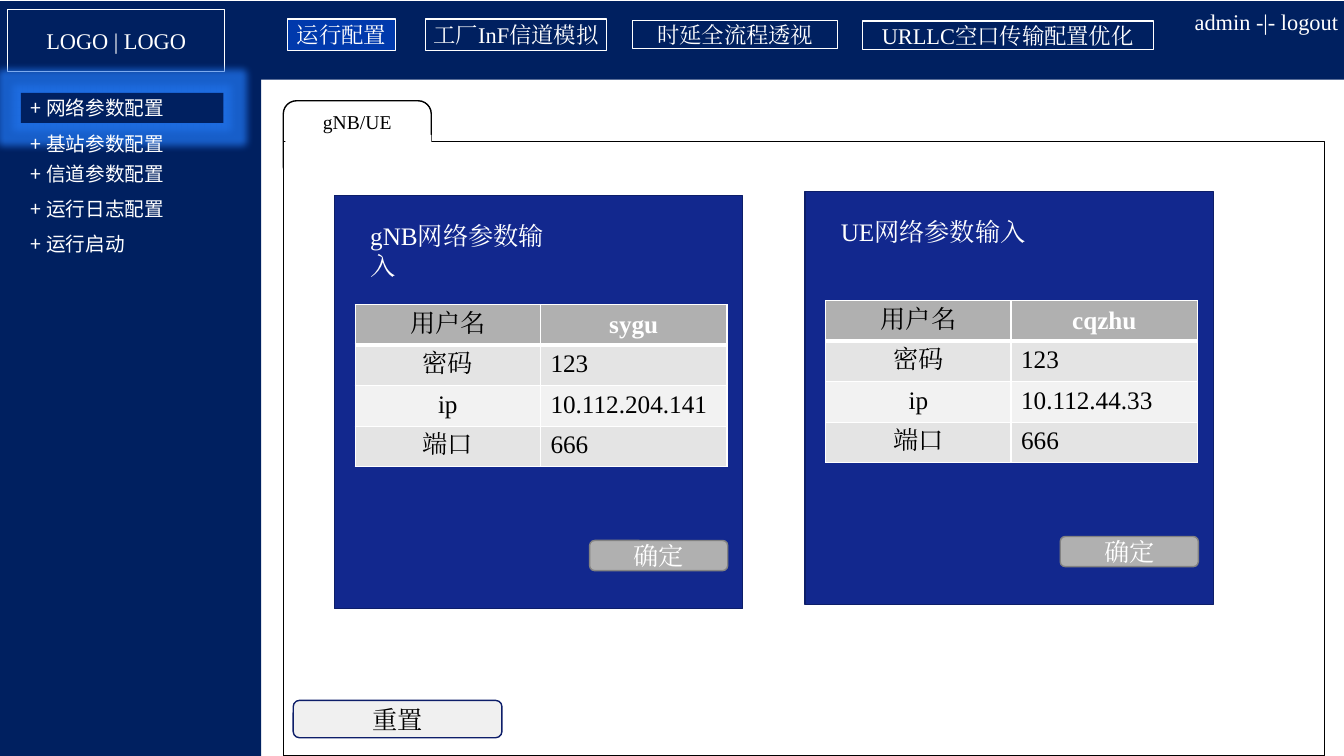
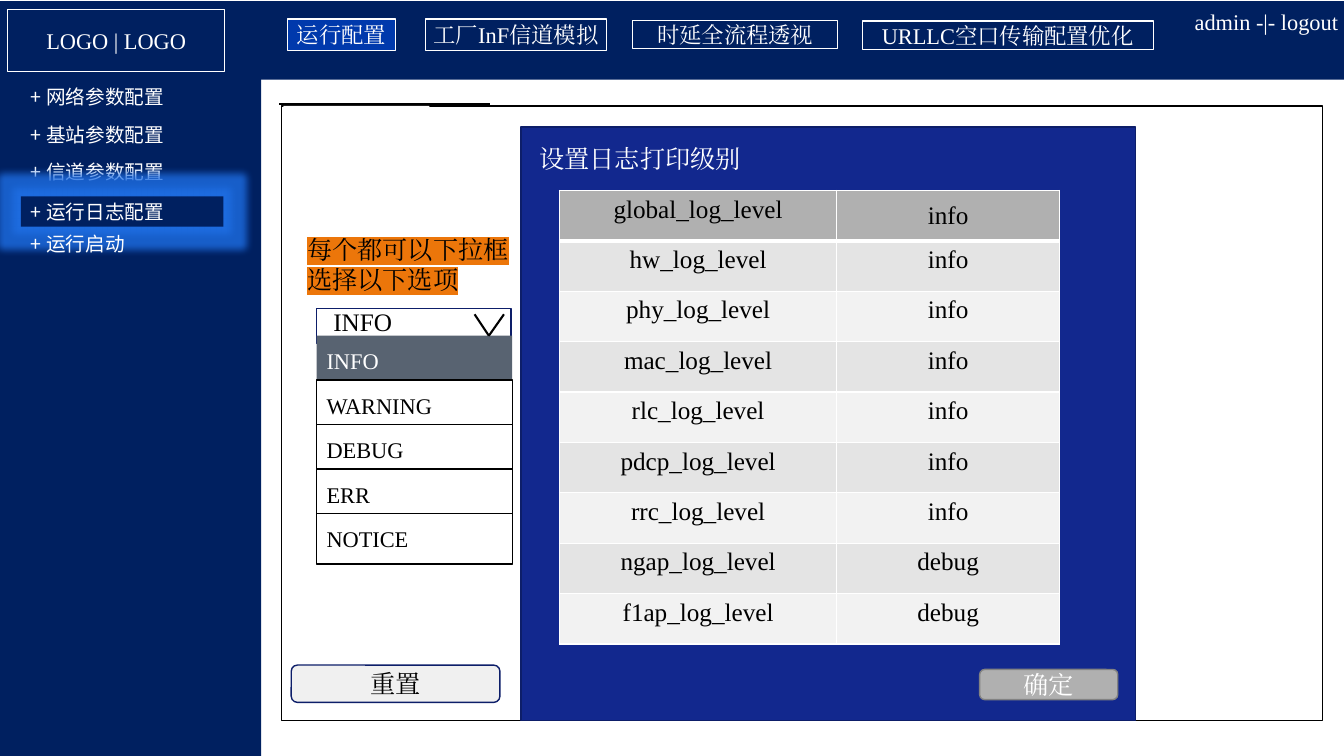
from pptx import Presentation
from pptx.dml.color import RGBColor
from pptx.enum.shapes import MSO_CONNECTOR, MSO_SHAPE
from pptx.enum.text import MSO_ANCHOR, PP_ALIGN
from pptx.oxml import parse_xml
from pptx.oxml.ns import nsdecls, qn
from pptx.util import Cm, Pt

RECT, ROUND = MSO_SHAPE.RECTANGLE, MSO_SHAPE.ROUNDED_RECTANGLE
STRAIGHT = MSO_CONNECTOR.STRAIGHT
TOP, MIDDLE = MSO_ANCHOR.TOP, MSO_ANCHOR.MIDDLE
LEFT, CENTER = PP_ALIGN.LEFT, PP_ALIGN.CENTER

WHITE = RGBColor(0xFF, 0xFF, 0xFF)
BLACK = RGBColor(0x00, 0x00, 0x00)
NAVY = RGBColor(0x00, 0x20, 0x60)
ACTIVE = RGBColor(0x00, 0x39, 0xAC)
PANEL = RGBColor(0x12, 0x28, 0x8E)
PANEL_EDGE = RGBColor(0x0D, 0x1E, 0x69)
GRAY = RGBColor(0xB0, 0xB0, 0xB0)
GRAY_EDGE = RGBColor(0x82, 0x82, 0x82)
LIGHT = RGBColor(0xF0, 0xF0, 0xF0)
SLATE = RGBColor(0x58, 0x63, 0x71)
BAND_DARK = RGBColor(0xE4, 0xE4, 0xE4)
BAND_LIGHT = RGBColor(0xF2, 0xF2, 0xF2)
ORANGE = RGBColor(0xEC, 0x76, 0x0A)
GLOW = RGBColor(0x1F, 0x6F, 0xE5)

SERIF = "Times New Roman"
SANS = "Noto Sans CJK SC"


def write(frame, text, size=18, color=BLACK, align=LEFT, font=SERIF,
          bold=False, highlight=None):
    """Fill a text frame, one paragraph for each line of text."""
    for index, line in enumerate(text.split("\n")):
        para = frame.add_paragraph() if index else frame.paragraphs[0]
        para.alignment = align
        span = para.add_run()
        span.text = line
        span.font.size = Pt(size)
        span.font.bold = bold
        span.font.color.rgb = color
        span.font.name = font
        props = span.font._element
        props.find(qn("a:latin")).addnext(parse_xml(
            f'<a:ea {nsdecls("a")} typeface="{font}"/>'))
        if highlight:
            props.find(qn("a:solidFill")).addnext(parse_xml(
                f'<a:highlight {nsdecls("a")}><a:srgbClr val="{highlight}"/></a:highlight>'))


def add_box(page, place, fill=None, line=None, weight=1, kind=RECT,
            text="", anchor=MIDDLE, inset=True, **style):
    """Add a shape, or a text box if it has neither fill nor line; place is in cm."""
    lengths = [Cm(value) for value in place]
    if fill or line:
        box = page.shapes.add_shape(kind, *lengths)
        box.shadow.inherit = False
        if fill:
            box.fill.solid()
            box.fill.fore_color.rgb = fill
        else:
            box.fill.background()
        if line:
            box.line.color.rgb = line
            box.line.width = Pt(weight)
        else:
            box.line.fill.background()
    else:
        box = page.shapes.add_textbox(*lengths)
    if text:
        frame = box.text_frame
        frame.word_wrap = True
        frame.vertical_anchor = anchor
        if not inset:
            frame.margin_left = frame.margin_right = 0
            frame.margin_top = frame.margin_bottom = 0
        write(frame, text, **style)
    return box


deck = Presentation()
deck.slide_width, deck.slide_height = Cm(33.87), Cm(19.05)
network_page, log_page = [deck.slides.add_slide(deck.slide_layouts[6]) for _ in range(2)]

# The tab stands behind the frame
add_box(network_page, (7.14, 2.54, 3.73, 1.98), WHITE, BLACK, kind=ROUND,
        text="gNB/UE", anchor=TOP, size=14, align=CENTER)

# Frame, navigation and reset button on every page
nav_tabs = [
    ("运行配置", (7.24, 0.48, 2.74, 0.79), ACTIVE),
    ("工厂InF信道模拟", (10.72, 0.48, 4.57, 0.79), NAVY),
    ("时延全流程透视", (15.95, 0.51, 5.16, 0.71), NAVY),
    ("URLLC空口传输配置优化", (21.74, 0.53, 7.32, 0.71), NAVY),
]
menu = ["网络参数配置", "基站参数配置", "信道参数配置", "运行日志配置", "运行启动"]
layouts = [
    (network_page, (7.14, 3.56), 17.65, 0, [2.72, 3.61, 4.38, 5.27, 6.13]),
    (log_page, (7.09, 2.67), 16.76, 3, [2.44, 3.39, 4.33, 5.33, 6.13]),
]
for page, (frame_left, frame_top), reset_top, selected, centers in layouts:
    add_box(page, (frame_left, frame_top, 26.24, 15.49), WHITE, BLACK)
    add_box(page, (0, 1.19, 6.58, 17.86), NAVY)
    add_box(page, (0, 0.03, 33.87, 1.98), NAVY)
    add_box(page, (0.2, 0.23, 5.46, 1.57), line=WHITE, weight=0.75,
            text="LOGO | LOGO", size=16, color=WHITE, align=CENTER)
    for label, place, fill in nav_tabs:
        add_box(page, place, fill, WHITE, 0.75, text=label, inset=False,
                size=16, color=WHITE, align=CENTER)
    add_box(page, (29.97, 0.18, 3.89, 0.71), text="admin -|- logout", inset=False,
            size=16, color=WHITE, align=CENTER)
    for index, (label, center) in enumerate(zip(menu, centers)):
        height = 0.76 if index == selected else 0.89
        item = add_box(page, (0.53, center - height / 2, 5.1, height),
                       NAVY if index == selected else None,
                       text="+ " + label, size=14, color=WHITE, font=SANS)
        if index == selected:
            item._element.spPr.find(qn("a:effectLst")).append(parse_xml(
                f'<a:glow {nsdecls("a")} rad="139700"><a:srgbClr val="{GLOW}">'
                '<a:alpha val="80000"/></a:srgbClr></a:glow>'))
    add_box(page, (frame_left + 0.25, reset_top, 5.26, 0.94), LIGHT, PANEL_EDGE,
            kind=ROUND, text="重置", align=CENTER)

# White strips open the frame's top edge
add_box(network_page, (7.19, 3.4, 3.68, 0.28), WHITE)
add_box(log_page, (7.14, 2.67, 3.68, 0.28), WHITE)

# Panels: title, table and confirm button, placed from the panel's corner
log_levels = ["global", "hw", "phy", "mac", "rlc", "pdcp", "rrc", "ngap", "f1ap"]
log_rows = [(f"{name}_log_level", "debug" if name in ("ngap", "f1ap") else "info")
            for name in log_levels]
log_panel = dict(size=(15.49, 14.96), title_at=(0.21, 0.28), title_width=5.8,
                 table_at=(0.97, 1.6), columns=(6.99, 5.61), row_height=1.27,
                 button_at=(11.56, 13.67), values=CENTER, head_color=BLACK)
network_panel = dict(size=(10.29, 10.41), title_at=(0.65, 0.49), title_width=5.4,
                     table_at=(0.52, 2.75), columns=(4.67, 4.7), row_height=1.02,
                     button_at=(6.43, 8.69), values=LEFT, head_color=WHITE)
panels = [
    (network_page, 8.43, 4.93, "gNB网络参数输入", network_panel,
     [("用户名", "sygu"), ("密码", "123"), ("ip", "10.112.204.141"), ("端口", "666")]),
    (network_page, 20.29, 4.83, "UE网络参数输入", network_panel,
     [("用户名", "cqzhu"), ("密码", "123"), ("ip", "10.112.44.33"), ("端口", "666")]),
    (log_page, 13.13, 3.2, "设置日志打印级别", log_panel, log_rows),
]
for page, left, top, title, form, rows in panels:
    add_box(page, (left, top, *form["size"]), PANEL, PANEL_EDGE)
    across, down = form["title_at"]
    add_box(page, (left + across, top + down, form["title_width"], 1.02),
            text=title, anchor=TOP, color=WHITE)
    across, down = form["button_at"]
    add_box(page, (left + across, top + down, 3.48, 0.76), GRAY, GRAY_EDGE,
            kind=ROUND, text="确定", color=WHITE, align=CENTER)

    across, down = form["table_at"]
    table = page.shapes.add_table(
        len(rows), 2, Cm(left + across), Cm(top + down), Cm(sum(form["columns"])),
        Cm(form["row_height"] * len(rows))).table
    for column, width in zip(table.columns, form["columns"]):
        column.width = Cm(width)
    for row_index, row in enumerate(rows):
        table.rows[row_index].height = Cm(form["row_height"])
        head = row_index == 0
        for column_index, text in enumerate(row):
            cell = table.cell(row_index, column_index)
            value = column_index == 1
            props = cell._tc.get_or_add_tcPr()
            for side in "LRTB":
                thick = (head and side == "B") or (row_index == 1 and side == "T")
                props.append(parse_xml(
                    f'<a:ln{side} {nsdecls("a")} w="{Pt(3 if thick else 1)}"><a:solidFill>'
                    f'<a:srgbClr val="{WHITE}"/></a:solidFill></a:ln{side}>'))
            cell.fill.solid()
            cell.fill.fore_color.rgb = GRAY if head else (BAND_LIGHT, BAND_DARK)[row_index % 2]
            cell.vertical_anchor = MIDDLE if head and value else TOP
            color = form["head_color"] if head and value else BLACK
            write(cell.text_frame, text, color=color, bold=color == WHITE,
                  align=form["values"] if value and not head else CENTER)

# Drop-down list of log levels
add_box(log_page, (7.98, 7.77, 4.9, 0.89), line=PANEL_EDGE)
add_box(log_page, (8.15, 7.59, 2.64, 1.02), text="INFO", anchor=TOP)
for index, option in enumerate(["INFO", "WARNING", "DEBUG", "ERR", "NOTICE"]):
    chosen = index == 0
    add_box(log_page, (7.98, 8.46 + 1.12 * index, 4.93, 1.27),
            SLATE if chosen else WHITE, None if chosen else BLACK,
            text=option, size=16, color=WHITE if chosen else BLACK)
add_box(log_page, (7.49, 5.77, 5.8, 1.8), text="每个都可以下拉框\n选择以下选项",
        anchor=TOP, highlight=ORANGE)

# Line above the frame and the two strokes of the drop-down arrow
for ends, weight in [((7.04, 2.62, 12.34, 2.62), 1),
                     ((11.96, 7.92, 12.32, 8.46), 1.5),
                     ((12.32, 8.46, 12.7, 7.92), 1.5)]:
    stroke = log_page.shapes.add_connector(STRAIGHT, *[Cm(value) for value in ends])
    stroke.line.color.rgb = BLACK
    stroke.line.width = Pt(weight)
    stroke._element.spPr.append(parse_xml(f'<a:effectLst {nsdecls("a")}/>'))

deck.save("out.pptx")
